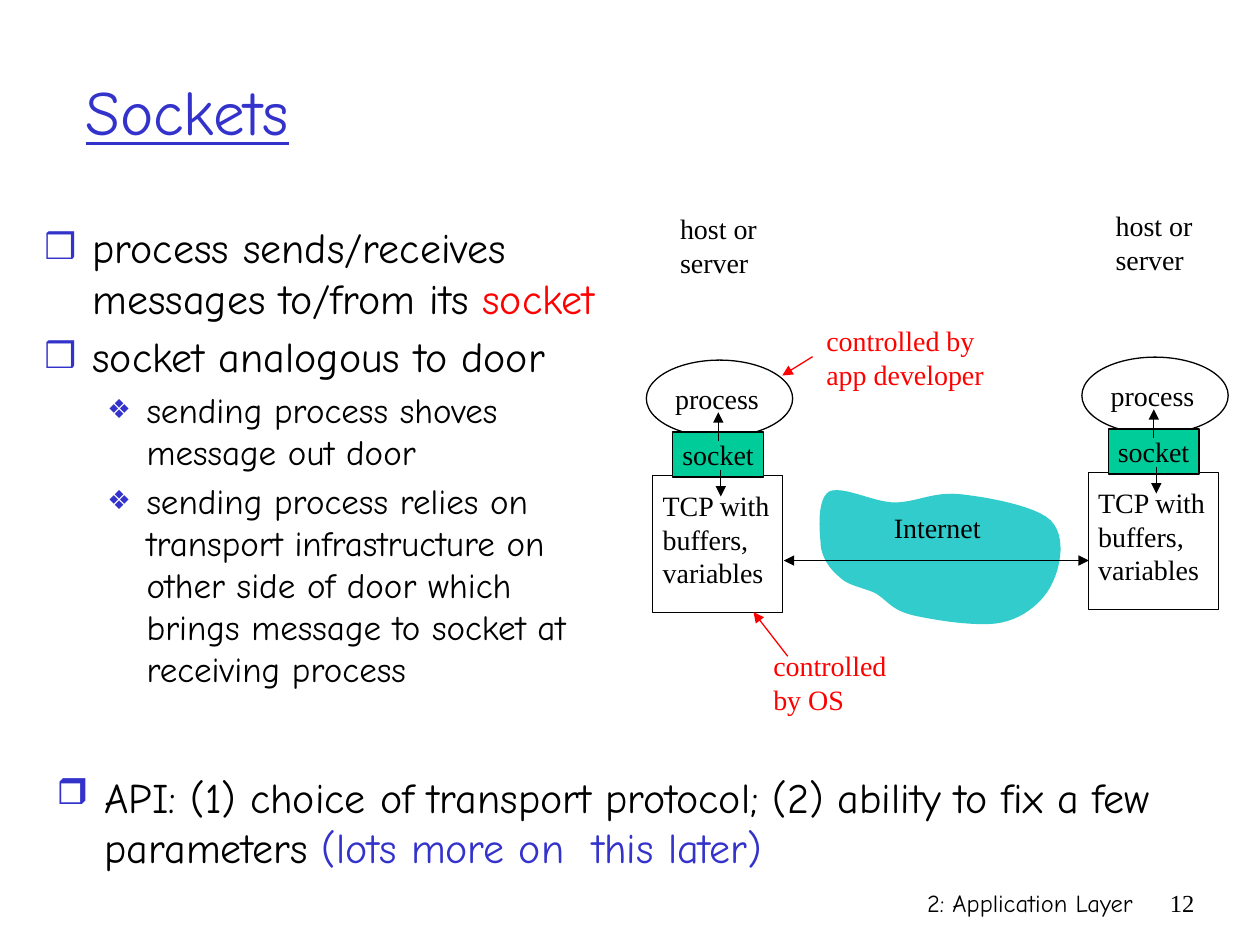
from pptx import Presentation
from pptx.util import Cm, Pt
from pptx.dml.color import RGBColor
from pptx.enum.shapes import MSO_SHAPE as Preset, MSO_CONNECTOR as Connector
from pptx.enum.text import MSO_ANCHOR as Anchor, MSO_AUTO_SIZE as AutoSize, PP_ALIGN as Align
from pptx.oxml.ns import qn
from lxml.etree import SubElement

COLORS = {
    "black": "000000",
    "blue": "3333CC",
    "red": "FF0000",
    "green": "00CC99",
    "teal": "33CCCC",
}
HAND, SERIF = "Comic Neue", "Times New Roman"

TITLE = ("Sockets", (1.47, 0.64, 22.43, 3.18))
BODY_BOX = (0.64, 4.34, 11.68, 10.92)
BODY = [
    (0, [("process sends/receives messages to/from its ", "black"), ("socket", "red")]),
    (0, [("socket analogous to door", "black")]),
    (1, [("sending process shoves message out door", "black")]),
    (1, [("sending process relies on transport infrastructure on other side of door "
          "which brings message to socket at receiving process", "black")]),
]
API_BOX = (0.89, 15.42, 23.06, 2.24)
API = [
    (0, [("API: (1) choice of transport protocol; (2) ability to fix a few parameters ", "black"),
         ("(lots more on  this later)", "blue")]),
]
LEVELS = [
    {"char": "❒", "percent": 85, "size": 24, "margin": 0.97, "hanging": 0.97},
    {"char": "❖", "percent": 75, "size": 20, "margin": 2.06, "hanging": 0.79},
]
FOOTERS = [
    ("2: Application Layer", HAND, (15.04, 17.78, 8.05, 1.27)),
    ("12", SERIF, (23.06, 17.78, 1.27, 1.27)),
]
HOST_OFFSETS = [(0, 0), (8.78, -0.06)]
HOST_PARTS = [
    ("shape", Preset.OVAL, (13.03, 7.26, 2.95, 1.55), None, []),
    ("label", ["process"], (13.36, 7.57, 2.21, 0.94)),
    ("shape", Preset.RECTANGLE, (13.16, 9.58, 2.62, 2.77), None, []),
    ("label", ["TCP with", "buffers,", "variables"], (13.11, 9.73, 2.69, 2.29)),
    ("shape", Preset.RECTANGLE, (13.56, 8.71, 1.83, 0.91), "green", ["socket"]),
    ("arrow", (14.48, 8.89), (14.48, 8.31)),
    ("arrow", (14.53, 9.47), (14.53, 10.01)),
    ("label", ["host or", "server"], (13.46, 4.14, 2.06, 1.63)),
]
NOTES = [
    (["controlled", "by OS"], (15.34, 12.95, 2.82, 2.29), (15.88, 13.23), (15.19, 12.34)),
    (["controlled by", "app developer"], (16.41, 6.4, 3.71, 1.63), (16.38, 7.19), (15.77, 7.57)),
]
INTERNET_BOX = (17.75, 10.16, 2.29, 0.94)
INTERNET_LINK = ((15.8, 11.3), (21.95, 11.3))
CLOUD_START = (16.54, 10.92)
CLOUD_CURVES = [
    ((16.51, 10.62), (16.48, 10.06), (16.71, 9.91)),
    ((16.97, 9.78), (17.58, 10.11), (18.01, 10.13)),
    ((18.47, 10.13), (18.8, 9.91), (19.33, 9.96)),
    ((19.84, 10.01), (20.88, 10.19), (21.18, 10.49)),
    ((21.49, 10.8), (21.39, 11.4), (21.21, 11.76)),
    ((21.06, 12.09), (20.68, 12.45), (20.19, 12.55)),
    ((19.74, 12.65), (18.82, 12.5), (18.39, 12.4)),
    ((17.96, 12.29), (17.91, 12.12), (17.65, 11.96)),
    ((17.4, 11.84), (17.09, 11.81), (16.92, 11.63)),
    ((16.71, 11.46), (16.54, 11.2), (16.54, 10.92)),
]
CURVE_STEPS = 12


def lengths(values):
    return [Cm(value) for value in values]


def shift(position, offset):
    return (position[0] + offset[0], position[1] + offset[1], *position[2:])


def set_values(target, values):
    for name, value in values.items():
        setattr(target, name, value)


def set_color(color_format, color):
    color_format.rgb = RGBColor.from_string(COLORS[color])


def place(shape, box):
    set_values(shape, dict(zip(("left", "top", "width", "height"), lengths(box))))


def add_run(paragraph, text, font, size, color, underline=None):
    run = paragraph.add_run()
    run.text = text
    set_values(run.font, {"name": font, "size": Pt(size), "underline": underline})
    set_color(run.font.color, color)


def paragraphs_of(frame, count):
    return [frame.paragraphs[0]] + [frame.add_paragraph() for _ in range(count - 1)]


def write_lines(frame, lines, font, size, color, align):
    for paragraph, line in zip(paragraphs_of(frame, len(lines)), lines):
        paragraph.alignment = align
        add_run(paragraph, line, font, size, color)


def write_bullets(frame, items):
    set_values(frame, {"word_wrap": True, "auto_size": AutoSize.NONE, "vertical_anchor": Anchor.TOP})
    for index, (paragraph, (level, runs)) in enumerate(zip(paragraphs_of(frame, len(items)), items)):
        style = LEVELS[level]
        space = Pt(style["size"] * 0.2) if index else Pt(0)
        set_values(paragraph, {"level": level, "space_before": space, "alignment": Align.LEFT})
        properties = paragraph._p.get_or_add_pPr()
        properties.set("marL", str(Cm(style["margin"])))
        properties.set("indent", str(-Cm(style["hanging"])))
        bullet_color = SubElement(properties, qn("a:buClr"))
        SubElement(bullet_color, qn("a:srgbClr"), val=COLORS["blue"])
        SubElement(properties, qn("a:buSzPct"), val=str(style["percent"] * 1000))
        SubElement(properties, qn("a:buChar"), char=style["char"])
        for text, color in runs:
            add_run(paragraph, text, HAND, style["size"], color)


def add_label(shapes, lines, box, color="black", align=Align.LEFT):
    frame = shapes.add_textbox(*lengths(box)).text_frame
    set_values(frame, {"word_wrap": False, "auto_size": AutoSize.SHAPE_TO_FIT_TEXT})
    write_lines(frame, lines, SERIF, 16, color, align)


def add_outlined(shapes, preset, box, fill, lines):
    shape = shapes.add_shape(preset, *lengths(box))
    shape.shadow.inherit = False
    if fill:
        shape.fill.solid()
        set_color(shape.fill.fore_color, fill)
    else:
        shape.fill.background()
    set_color(shape.line.color, "black")
    shape.line.width = Pt(0.75)
    if lines:
        set_values(shape.text_frame, {"word_wrap": False, "vertical_anchor": Anchor.MIDDLE})
        write_lines(shape.text_frame, lines, SERIF, 16, "black", Align.CENTER)


def add_arrow(shapes, start, end, color="black", ends=("tailEnd",)):
    connector = shapes.add_connector(Connector.STRAIGHT, *lengths(start + end))
    set_color(connector.line.color, color)
    connector.line.width = Pt(0.75)
    for name in ends:
        SubElement(connector.line._get_or_add_ln(), qn(f"a:{name}"), type="triangle")
    SubElement(connector._element.spPr, qn("a:effectLst"))


def add_host(slide, offset):
    shapes = slide.shapes.add_group_shape().shapes
    for kind, *details in HOST_PARTS:
        if kind == "shape":
            preset, box, fill, lines = details
            add_outlined(shapes, preset, shift(box, offset), fill, lines)
        elif kind == "label":
            lines, box = details
            add_label(shapes, lines, shift(box, offset))
        else:
            add_arrow(shapes, *(shift(point, offset) for point in details))


def add_cloud(slide):
    points, start = [], CLOUD_START
    for first, second, end in CLOUD_CURVES:
        for step in range(1, CURVE_STEPS + 1):
            t = step / CURVE_STEPS
            weights = ((1 - t) ** 3, 3 * t * (1 - t) ** 2, 3 * t * t * (1 - t), t ** 3)
            points.append(lengths(
                sum(weight * value for weight, value in zip(weights, axis))
                for axis in zip(start, first, second, end)))
        start = end
    builder = slide.shapes.build_freeform(*lengths(CLOUD_START))
    builder.add_line_segments(points, close=True)
    cloud = builder.convert_to_shape()
    cloud.shadow.inherit = False
    cloud.fill.solid()
    set_color(cloud.fill.fore_color, "teal")
    cloud.line.fill.background()


def main():
    presentation = Presentation()
    set_values(presentation, {"slide_width": Cm(25.4), "slide_height": Cm(19.05)})
    slide = presentation.slides.add_slide(presentation.slide_layouts[1])

    for text, font, box in FOOTERS:
        frame = slide.shapes.add_textbox(*lengths(box)).text_frame
        frame.word_wrap = True
        write_lines(frame, [text], font, 14, "black", Align.RIGHT)

    title, body = slide.shapes.title, slide.placeholders[1]
    place(title, TITLE[1])
    set_values(title.text_frame, {"vertical_anchor": Anchor.MIDDLE, "auto_size": AutoSize.NONE})
    title.text_frame.paragraphs[0].alignment = Align.LEFT
    add_run(title.text_frame.paragraphs[0], TITLE[0], HAND, 36, "blue", True)
    place(body, BODY_BOX)
    write_bullets(body.text_frame, BODY)

    add_cloud(slide)
    for offset in HOST_OFFSETS:
        add_host(slide, offset)
    add_label(slide.shapes, ["Internet"], INTERNET_BOX, align=Align.CENTER)
    add_arrow(slide.shapes, *INTERNET_LINK, ends=("headEnd", "tailEnd"))
    for lines, box, start, end in NOTES:
        add_label(slide.shapes, lines, box, "red")
        add_arrow(slide.shapes, start, end, "red")
    write_bullets(slide.shapes.add_textbox(*lengths(API_BOX)).text_frame, API)
    presentation.save("out.pptx")


if __name__ == "__main__":
    main()
